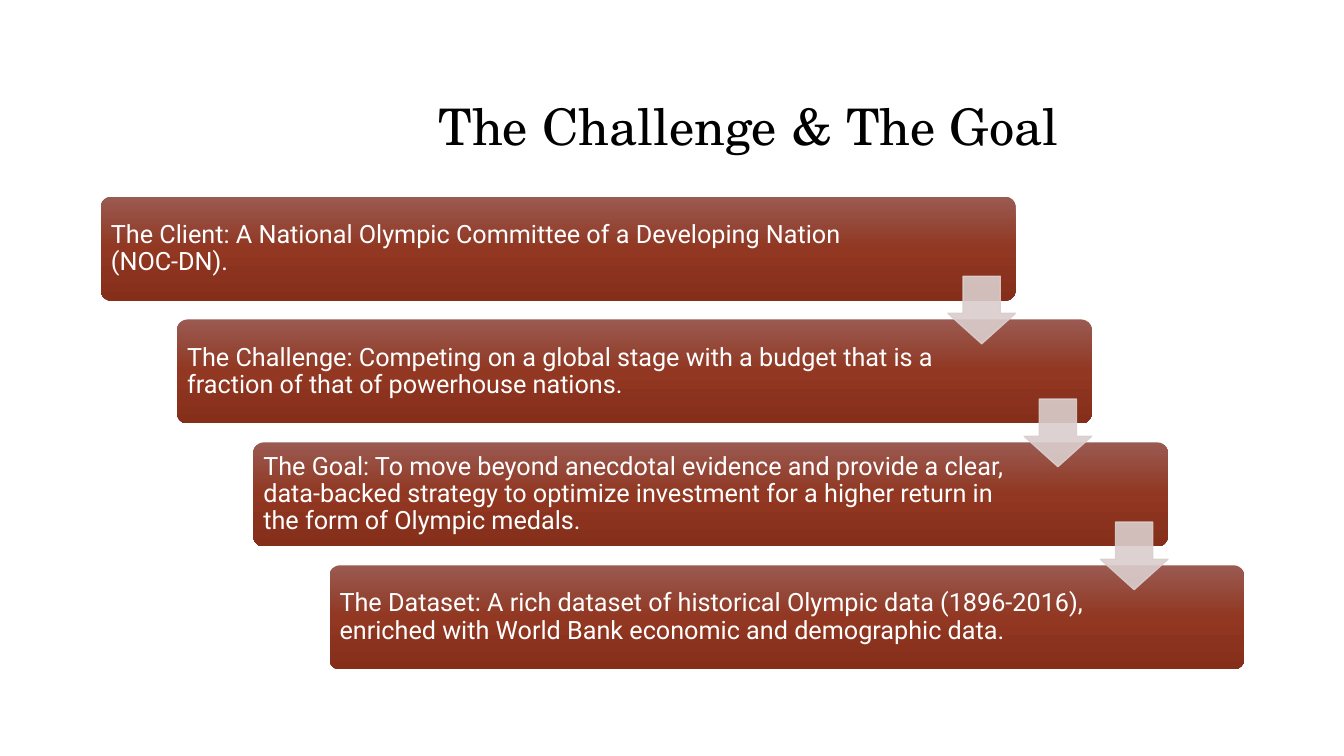
from copy import deepcopy
from lxml import etree
from pptx import Presentation
from pptx.dml.color import RGBColor
from pptx.enum.shapes import MSO_SHAPE
from pptx.enum.text import MSO_ANCHOR, PP_ALIGN
from pptx.oxml.ns import qn
from pptx.util import Inches, Pt

ROUND = MSO_SHAPE.ROUNDED_RECTANGLE
ARROW = MSO_SHAPE.DOWN_ARROW
MIDDLE, BOTTOM = MSO_ANCHOR.MIDDLE, MSO_ANCHOR.BOTTOM
LEFT = PP_ALIGN.LEFT

THEME = {
    "head": ("TeX Gyre Schola", 36, "000000"),
    "body": ("Roboto", 18, "FFFFFF"),
    "grad": [(0, "9A5A51"), (0.5, "913722"), (1, "852E1A")],
    "arrow": "DACECD",
}
STEPS = [
    "The Client: A National Olympic Committee of a Developing Nation (NOC-DN).",
    "The Challenge: Competing on a global stage with a budget that is a fraction of that of powerhouse nations.",
    "The Goal: To move beyond anecdotal evidence and provide a clear, data-backed strategy to optimize investment for a higher return in the form of Olympic medals.",
    "The Dataset: A rich dataset of historical Olympic data (1896-2016), enriched with World Bank economic and demographic data.",
]


def write(frame, text, style, anchor):
    font, size, color = THEME[style]
    frame.word_wrap = True
    frame.vertical_anchor = anchor
    para = frame.paragraphs[0]
    para.alignment = LEFT
    para.line_spacing = 0.9
    run = para.add_run()
    run.text = text
    run.font.name = font
    run.font.size = Pt(size)
    run.font.color.rgb = RGBColor.from_string(color)


def draw(kind, x, y, w, h, adjust):
    shape = slide.shapes.add_shape(kind, Inches(x), Inches(y), Inches(w), Inches(h))
    shape.shadow.inherit = False
    for i, value in enumerate(adjust):
        shape.adjustments[i] = value
    return shape


deck = Presentation()
deck.slide_width, deck.slide_height = Inches(13.33), Inches(7.5)
slide = deck.slides.add_slide(deck.slide_layouts[6])

title = slide.shapes.add_textbox(Inches(4.25), Inches(0.15), Inches(8.17), Inches(1.45))
write(title.text_frame, "The Challenge & The Goal", "head", BOTTOM)

x0, y0, wide, high = 1, 1.95, 11.34, 4.69
card_w, card_h = 0.8 * wide, 0.22 * high
gaps = len(STEPS) - 1
dx, dy = (wide - card_w) / gaps, (high - card_h) / gaps
side = 0.67

for i, text in enumerate(STEPS):
    card = draw(ROUND, x0 + i * dx, y0 + i * dy, card_w, card_h, [0.1])
    card.line.fill.background()
    card.fill.gradient()
    card.fill.gradient_angle = 270
    stops = card._element.spPr.find(".//" + qn("a:gsLst"))
    stops.insert(1, deepcopy(stops[0]))
    for stop, (place, color) in zip(card.fill.gradient_stops, THEME["grad"]):
        stop.position = place
        stop.color.rgb = RGBColor.from_string(color)
    frame = card.text_frame
    frame.margin_left = frame.margin_top = frame.margin_bottom = Inches(0.07)
    frame.margin_right = Inches(1.5)
    write(frame, text, "body", MIDDLE)

for i in range(gaps):
    x = x0 + i * dx + card_w - side
    y = y0 + i * dy + (card_h + dy - side) / 2
    arrow = draw(ARROW, x, y, side, side, [0.55, 0.45])
    arrow.fill.solid()
    arrow.line.width = Pt(1)
    for paint in (arrow.fill, arrow.line.fill):
        paint.solid()
        paint.fore_color.rgb = RGBColor.from_string(THEME["arrow"])
    for tone in arrow._element.spPr.iter(qn("a:srgbClr")):
        etree.SubElement(tone, qn("a:alpha"), val="90000")

deck.save("out.pptx")
